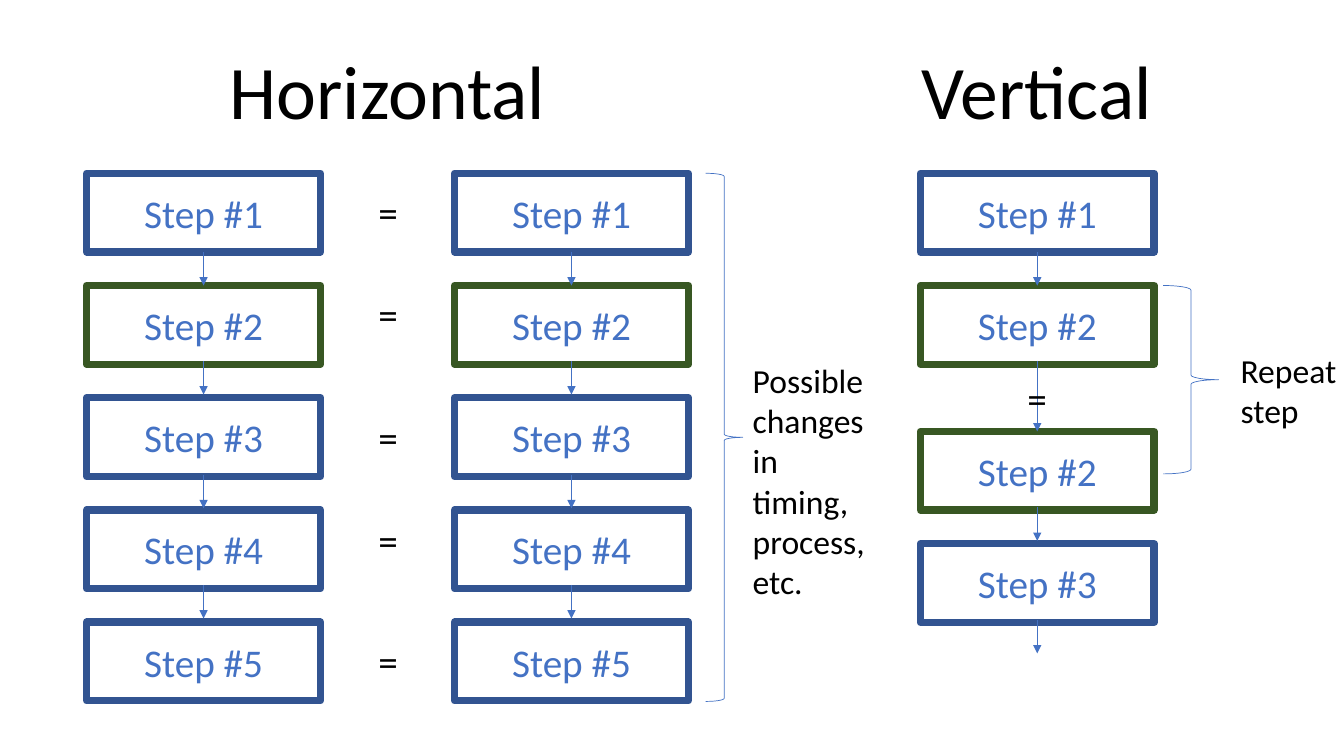
from pptx import Presentation
from pptx.dml.color import RGBColor
from pptx.enum.shapes import MSO_CONNECTOR as Connector, MSO_SHAPE as Shape
from pptx.enum.text import MSO_ANCHOR as Anchor, MSO_AUTO_SIZE as AutoSize, PP_ALIGN as Align
from pptx.oxml.ns import qn
from pptx.util import Pt
from lxml.etree import SubElement

BLUE = RGBColor(0x44, 0x72, 0xC4)
DARK_BLUE = RGBColor(0x32, 0x54, 0x91)
GREEN = RGBColor(0x38, 0x57, 0x23)
BLACK = RGBColor(0, 0, 0)

STEP_WIDTH, STEP_HEIGHT = 167, 56.2
FIRST_TOP, STEP_PITCH = 123.8, 80.15
ARROW_LENGTH = 24


class FlowSlide:
    font = "Calibri"
    step_size = 28

    def __init__(self, slide):
        self.shapes = slide.shapes

    def set_lines(self, frame, lines, size, color, align):
        frame.text = "\n".join(lines)
        for paragraph in frame.paragraphs:
            paragraph.alignment = align
            paragraph.font.name = self.font
            paragraph.font.size = Pt(size)
            paragraph.font.color.rgb = color

    def outline(self, kind, left, top, width, height, color, weight):
        """Add an unfilled preset shape."""
        shape = self.shapes.add_shape(kind, Pt(left), Pt(top), Pt(width), Pt(height))
        shape.shadow.inherit = False
        shape.fill.background()
        shape.line.color.rgb = color
        shape.line.width = Pt(weight)
        return shape

    def step(self, left, top, number):
        """Add a step box; step 2 is the green one."""
        color = GREEN if number == 2 else DARK_BLUE
        box = self.outline(Shape.RECTANGLE, left, top, STEP_WIDTH, STEP_HEIGHT, color, 5.25)
        box.text_frame.vertical_anchor = Anchor.MIDDLE
        self.set_lines(box.text_frame, [f"Step #{number}"], self.step_size, BLUE, Align.CENTER)

    def brace(self, left, top, width, height):
        self.outline(Shape.RIGHT_BRACE, left, top, width, height, BLUE, 0.5)

    def arrow(self, x, top, length=ARROW_LENGTH):
        """Add an arrow pointing down."""
        connector = self.shapes.add_connector(
            Connector.STRAIGHT, Pt(x), Pt(top), Pt(x), Pt(top + length))
        connector.line.color.rgb = BLUE
        connector.line.width = Pt(0.5)
        properties = connector.element.spPr
        SubElement(properties.find(qn("a:ln")), qn("a:tailEnd"), type="triangle")
        SubElement(properties, qn("a:effectLst"))

    def text(self, left, top, width, height, lines, size, align=Align.CENTER, wrap=False):
        box = self.shapes.add_textbox(Pt(left), Pt(top), Pt(width), Pt(height))
        frame = box.text_frame
        self.set_lines(frame, lines, size, BLACK, align)
        frame.word_wrap = wrap
        frame.auto_size = AutoSize.SHAPE_TO_FIT_TEXT

    def equals(self, left, top):
        self.text(left, top, 28.8, 41, ["="], self.step_size)


def draw_horizontal(flow):
    flow.text(155.5, 28.1, 242.6, 72.7, ["Horizontal"], 54)
    for left in (61.9, 324.7):
        for index in range(5):
            flow.step(left, FIRST_TOP + index * STEP_PITCH, index + 1)
        for arrow_top in (180, 257.8, 339.1, 417.8):
            flow.arrow(left + STEP_WIDTH / 2, arrow_top)
    for equals_top in (131, 203.8, 291.6, 365, 451.4):
        flow.equals(262.8, equals_top)
    flow.brace(504, FIRST_TOP, 26.6, 377.3)
    flow.text(530.6, 253.4, 105.1, 181.4,
              ["Possible changes in", "timing, process, etc."], 24, Align.LEFT, wrap=True)


def draw_vertical(flow):
    left = 657.4
    center = left + STEP_WIDTH / 2
    flow.text(650.2, 28.1, 180.7, 72.7, ["Vertical"], 54)
    repeated_top = FIRST_TOP + STEP_PITCH
    second_top = 308.2
    for top, number in ((FIRST_TOP, 1), (repeated_top, 2),
                        (second_top, 2), (second_top + STEP_PITCH, 3)):
        flow.step(left, top, number)
    flow.arrow(center, 180)
    flow.arrow(center, 257.8, 50.4)
    flow.arrow(center, 362.4)
    flow.arrow(center, 442.7)
    flow.equals(726.5, 263.5)
    flow.brace(830.9, repeated_top, 39.6, 134.6)
    flow.text(879.1, 246.2, 83.5, 65.5, ["Repeat", "step"], 24, Align.LEFT)


def main():
    deck = Presentation()
    deck.slide_width, deck.slide_height = Pt(960), Pt(540)
    flow = FlowSlide(deck.slides.add_slide(deck.slide_layouts[6]))
    draw_horizontal(flow)
    draw_vertical(flow)
    deck.save("out.pptx")


if __name__ == "__main__":
    main()
